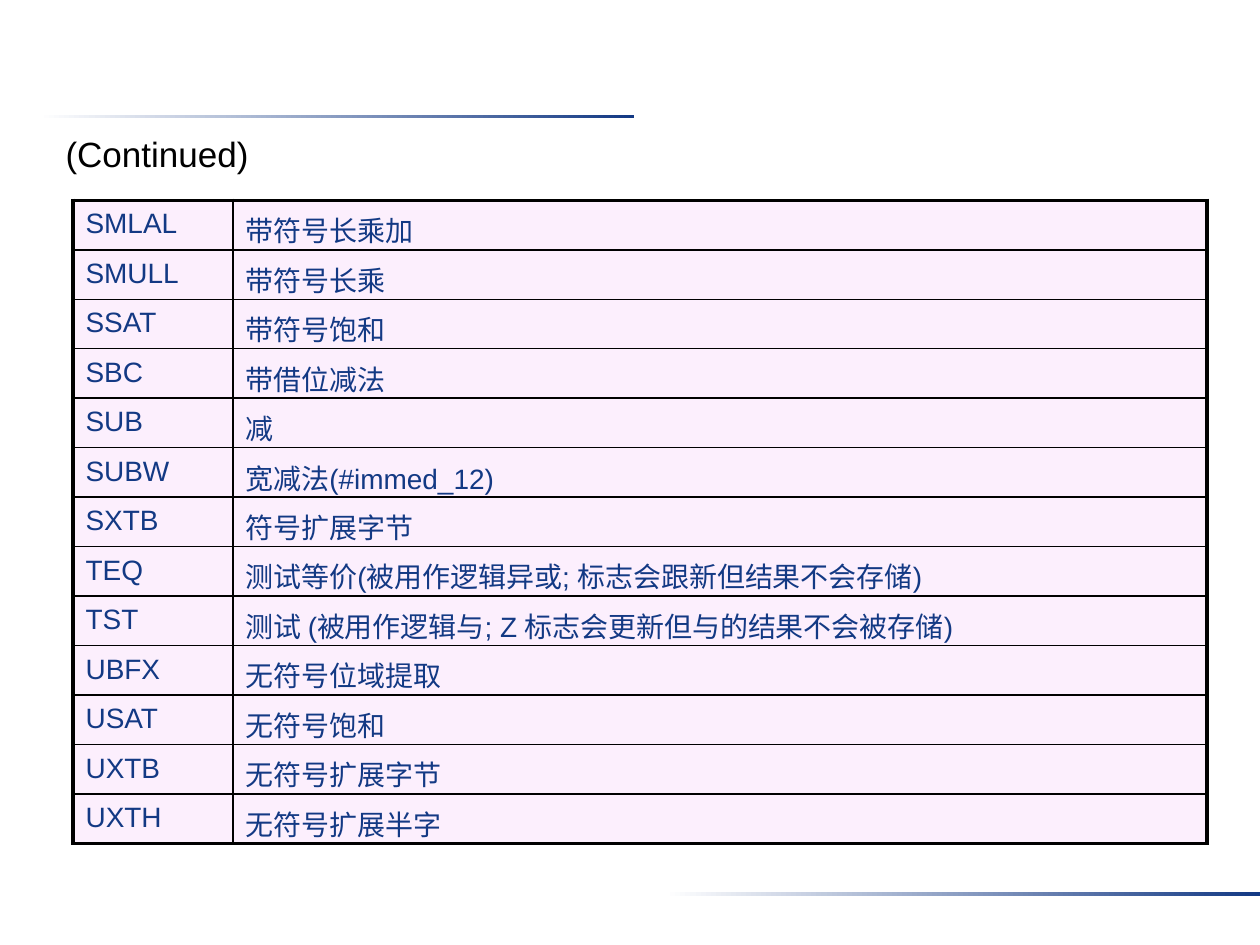
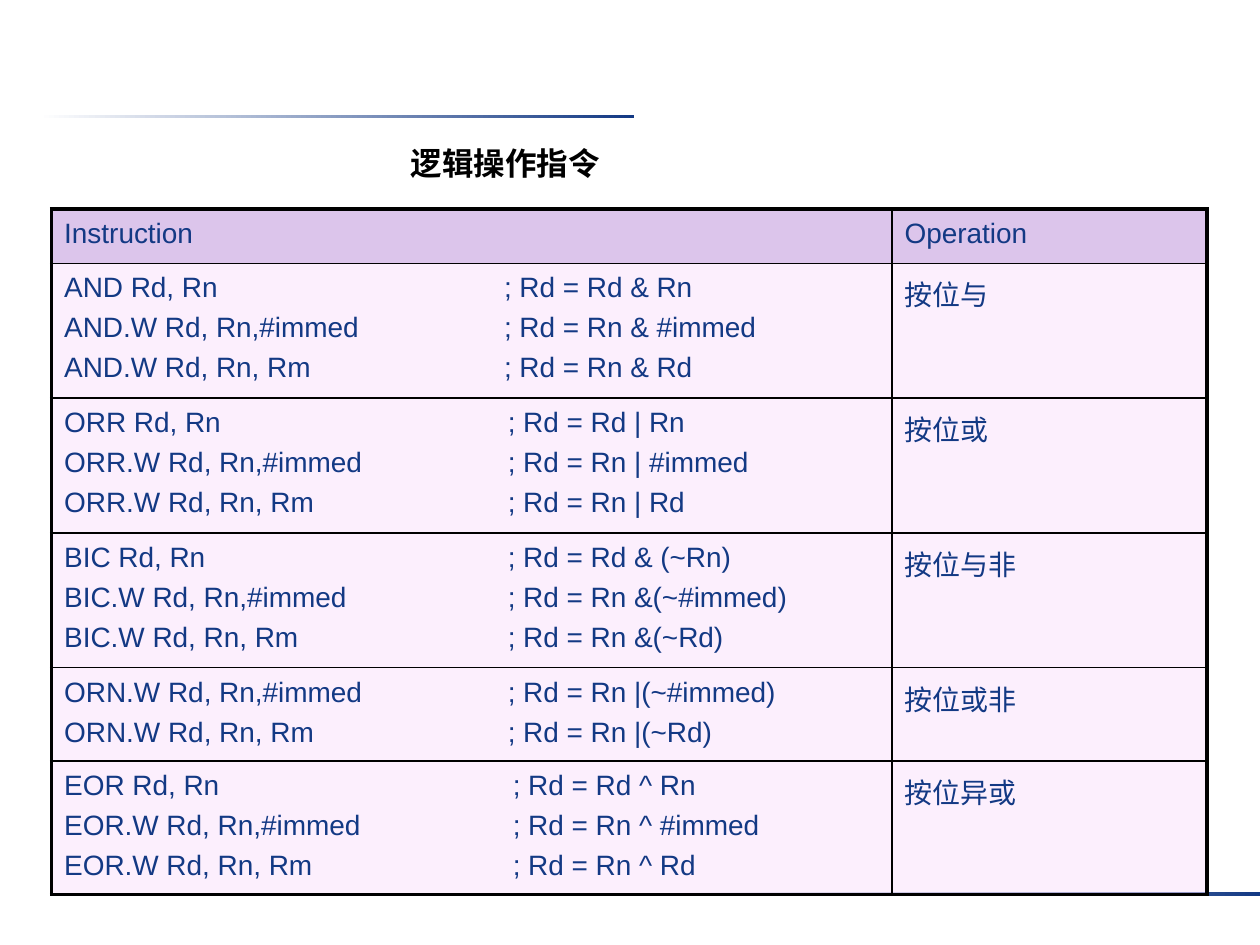
import pptx
import pptx.dml.color
import pptx.enum.shapes
import pptx.enum.text
import pptx.oxml.ns
import pptx.util
from pptx.util import Inches
from lxml import etree

FONT = "Arial"
COLORS = {
    "navy": "133984",
    "white": "FFFFFF",
    "black": "000000",
    "header": "BB8CD8",
    "body": "FBE0FC",
}
BAND_SIZE = (4.72, 0.03)
BAND_CORNERS = [(0.31, 0.91), (5.28, 7.08)]
OUTER_BORDER, INNER_BORDER = 2.25, 1
COMMENT_TAB = 3.52
SPECIAL_COMMENT_TABS = {"AND": 3.49, "EOR": 3.56}

SUMMARY_ROWS = [
    ("SMLAL", "带符号长乘加"),
    ("SMULL", "带符号长乘"),
    ("SSAT", "带符号饱和"),
    ("SBC", "带借位减法"),
    ("SUB", "减"),
    ("SUBW", "宽减法(#immed_12)"),
    ("SXTB", "符号扩展字节"),
    ("TEQ", "测试等价(被用作逻辑异或; 标志会跟新但结果不会存储)"),
    ("TST", "测试 (被用作逻辑与; Z 标志会更新但与的结果不会被存储)"),
    ("UBFX", "无符号位域提取"),
    ("USAT", "无符号饱和"),
    ("UXTB", "无符号扩展字节"),
    ("UXTH", "无符号扩展半字"),
]

LOGIC_ROWS = [
    ("Instruction", "Operation"),
    ("AND Rd, Rn\t; Rd = Rd & Rn\n"
     "AND.W Rd, Rn,#immed\t; Rd = Rn & #immed\n"
     "AND.W Rd, Rn, Rm\t; Rd = Rn & Rd", "按位与"),
    ("ORR Rd, Rn\t; Rd = Rd | Rn\n"
     "ORR.W Rd, Rn,#immed\t; Rd = Rn | #immed\n"
     "ORR.W Rd, Rn, Rm\t; Rd = Rn | Rd", "按位或"),
    ("BIC Rd, Rn\t; Rd = Rd & (~Rn)\n"
     "BIC.W Rd, Rn,#immed\t; Rd = Rn &(~#immed)\n"
     "BIC.W Rd, Rn, Rm\t; Rd = Rn &(~Rd)", "按位与非"),
    ("ORN.W Rd, Rn,#immed\t; Rd = Rn |(~#immed)\n"
     "ORN.W Rd, Rn, Rm\t; Rd = Rn |(~Rd)", "按位或非"),
    ("EOR Rd, Rn\t; Rd = Rd ^ Rn\n"
     "EOR.W Rd, Rn,#immed\t; Rd = Rn ^ #immed\n"
     "EOR.W Rd, Rn, Rm\t; Rd = Rn ^ Rd", "按位异或"),
]


def rgb(name):
    return pptx.dml.color.RGBColor.from_string(COLORS[name])


def add_child(parent, tag, **attributes):
    return etree.SubElement(parent, pptx.oxml.ns.qn(tag), **attributes)


def add_run(paragraph, text, size, color, bold=False):
    run = paragraph.add_run()
    run.text = text
    run.font.name = FONT
    run.font.size = pptx.util.Pt(size)
    run.font.bold = bold
    run.font.color.rgb = rgb(color)


def add_band(slide, left, top):
    """Add a thin rule that fades in from white to navy."""
    band = slide.shapes.add_shape(
        pptx.enum.shapes.MSO_SHAPE.RECTANGLE,
        *map(Inches, (left, top, *BAND_SIZE)))
    band.shadow.inherit = False
    band.line.fill.background()
    band.fill.gradient()
    band.fill.gradient_angle = 0
    for stop, color in zip(band.fill.gradient_stops, ("white", "navy")):
        stop.color.rgb = rgb(color)


def set_title(slide, box, text, size, bold):
    title = slide.shapes.title
    title.left, title.top, title.width, title.height = map(Inches, box)
    frame = title.text_frame
    frame.word_wrap = False
    frame.auto_size = pptx.enum.text.MSO_AUTO_SIZE.NONE
    frame.vertical_anchor = pptx.enum.text.MSO_ANCHOR.TOP
    paragraph = frame.paragraphs[0]
    paragraph.alignment = pptx.enum.text.PP_ALIGN.LEFT
    add_run(paragraph, text, size, "black", bold)


def set_borders(cell, outer_sides):
    properties = cell._tc.get_or_add_tcPr()
    for side in "LRTB":
        weight = OUTER_BORDER if side in outer_sides else INNER_BORDER
        line = add_child(properties, f"a:ln{side}", w=str(pptx.util.Pt(weight)))
        fill = add_child(line, "a:solidFill")
        add_child(fill, "a:srgbClr", val=COLORS["black"])


def set_half_clear_fill(cell, color):
    cell.fill.solid()
    cell.fill.fore_color.rgb = rgb(color)
    fill = cell._tc.tcPr.find(pptx.oxml.ns.qn("a:solidFill"))
    add_child(fill.find(pptx.oxml.ns.qn("a:srgbClr")), "a:alpha", val="50000")


def fill_cell_text(cell, text, line_spacing):
    """Write one paragraph per line, with comments aligned at a tab stop."""
    frame = cell.text_frame
    for index, line in enumerate(text.split("\n")):
        paragraph = frame.add_paragraph() if index else frame.paragraphs[0]
        paragraph.line_spacing = line_spacing
        if index:
            paragraph.space_before = pptx.util.Pt(3.2)
        if "\t" in line:
            position = SPECIAL_COMMENT_TABS.get(line[:3], COMMENT_TAB)
            tabs = add_child(paragraph._p.get_or_add_pPr(), "a:tabLst")
            add_child(tabs, "a:tab", pos=str(Inches(position)), algn="l")
        add_run(paragraph, line, 16, "navy")


def add_instruction_table(slide, box, rows, column_widths, row_heights,
                          line_spacing, has_header=False):
    table = slide.shapes.add_table(
        len(rows), len(column_widths), *map(Inches, box)).table
    table.first_row = table.horz_banding = False
    for column, width in zip(table.columns, column_widths):
        column.width = Inches(width)
    for row, height in zip(table.rows, row_heights):
        row.height = Inches(height)
    last_row, last_column = len(rows) - 1, len(column_widths) - 1
    for row_index, texts in enumerate(rows):
        for column_index, text in enumerate(texts):
            cell = table.cell(row_index, column_index)
            edges = {"L": column_index == 0, "R": column_index == last_column,
                     "T": row_index == 0, "B": row_index == last_row}
            set_borders(cell, [side for side in edges if edges[side]])
            is_header = has_header and row_index == 0
            set_half_clear_fill(cell, "header" if is_header else "body")
            cell.margin_bottom = 0
            fill_cell_text(cell, text, line_spacing)


def add_banded_slide(presentation):
    slide = presentation.slides.add_slide(presentation.slide_layouts[5])
    for corner in BAND_CORNERS:
        add_band(slide, *corner)
    return slide


def build_summary_slide(presentation):
    slide = add_banded_slide(presentation)
    set_title(slide, (0.42, 1, 1.75, 0.43), "(Continued)", 20, False)
    add_instruction_table(slide, (0.58, 1.59, 9, 5.07), SUMMARY_ROWS,
                          (1.27, 7.73), [0.39] * len(SUMMARY_ROWS), 1.07)


def build_logic_slide(presentation):
    slide = add_banded_slide(presentation)
    set_title(slide, (3.16, 1.09, 1.75, 0.4), "逻辑操作指令", 18, True)
    heights = [0.43, 1.07, 1.07, 1.07, 0.74, 1.06]
    add_instruction_table(slide, (0.41, 1.66, 9.17, 5.44), LOGIC_ROWS,
                          (6.67, 2.5), heights, 1.1, has_header=True)


def main():
    presentation = pptx.Presentation()
    presentation.slide_width = Inches(10)
    presentation.slide_height = Inches(7.5)
    build_summary_slide(presentation)
    build_logic_slide(presentation)
    presentation.save("out.pptx")


if __name__ == "__main__":
    main()
